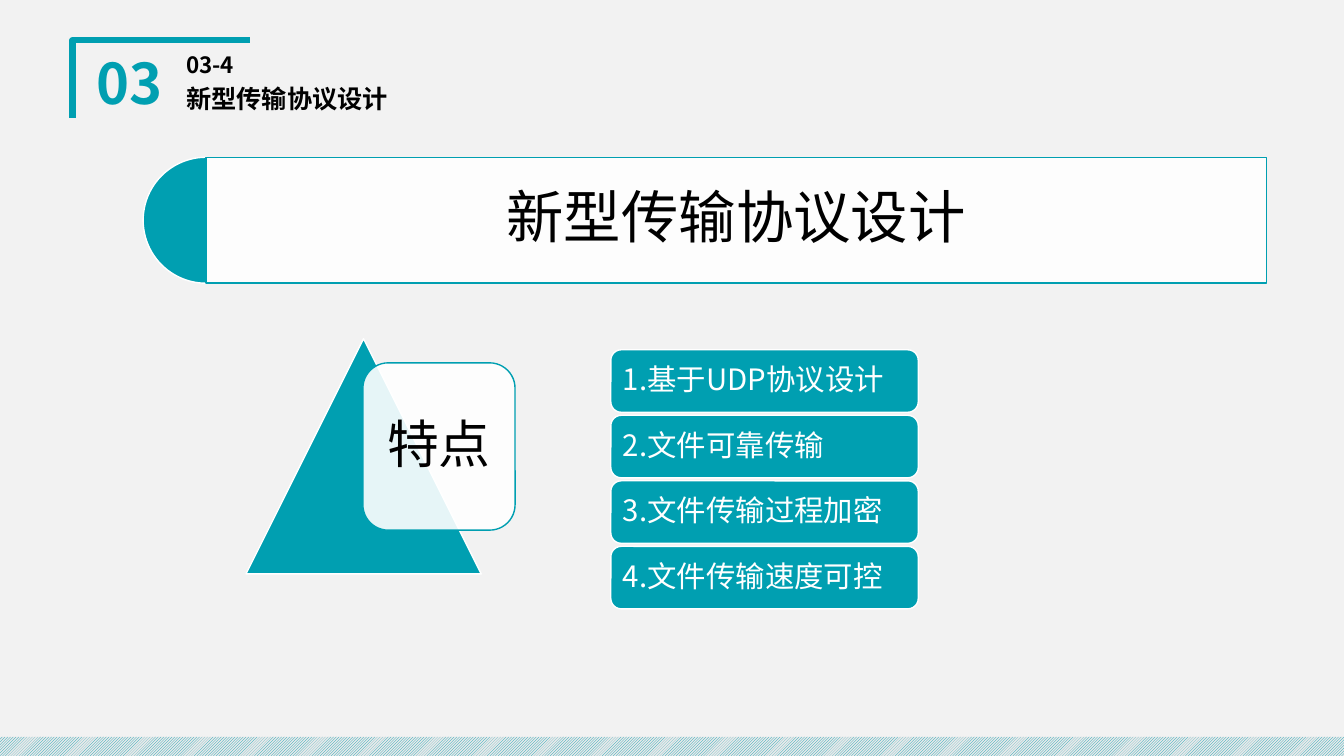
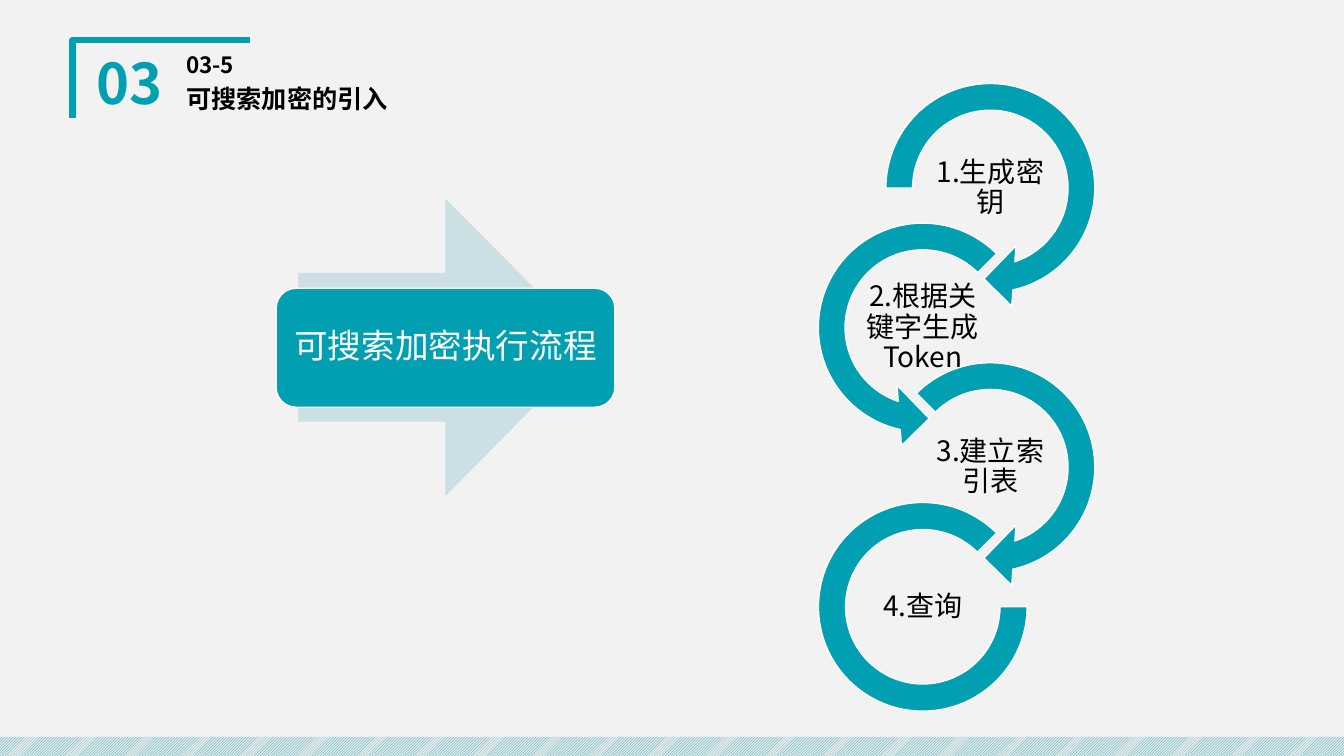
from dataclasses import dataclass

from lxml.etree import SubElement
from pptx import Presentation
from pptx.dml.color import RGBColor as Color
from pptx.enum.dml import MSO_PATTERN as Pattern
from pptx.enum.shapes import MSO_SHAPE as Kind
from pptx.enum.text import MSO_ANCHOR as Anchor, PP_ALIGN as Align
from pptx.oxml.ns import qn
from pptx.util import Inches, Pt

COLUMNS, ROWS = 160, 90
CELL = Inches(7.5) / ROWS
DEGREE = 0.6


@dataclass(frozen=True)
class Theme:
    font: str = "Noto Sans CJK SC"
    page: str = "F2F2F2"
    accent: str = "009FB1"
    pale: str = "CCDFE4"
    stripe: str = "E9E9E9"
    white: str = "FFFFFF"
    ink: str = "000000"
    number: int = 40
    code: int = 16
    heading: int = 18
    banner: int = 41
    badge: int = 37
    flow: int = 24
    item: int = 21
    step: int = 20


THEME = Theme()


def cells(count):
    return round(count * CELL)


def rgb(value):
    return Color.from_string(value)


def write(shape, text, *, size, color=THEME.ink, bold=False, align=Align.CENTER,
          insets=(1.2, 0.6, 1.2, 0.6), before=0):
    frame = shape.text_frame
    frame.word_wrap = True
    frame.vertical_anchor = Anchor.MIDDLE
    (frame.margin_left, frame.margin_top,
     frame.margin_right, frame.margin_bottom) = map(cells, insets)
    para = frame.paragraphs[0]
    para.alignment = align
    para.line_spacing = 0.9
    para.space_before = Pt(before)
    span = para.add_run()
    span.text = text
    span.font.size = Pt(size)
    span.font.bold = bold
    span.font.name = THEME.font
    span.font.color.rgb = rgb(color)
    SubElement(span.font._element, qn("a:ea"), typeface=THEME.font)


def add_label(page, text, area, **style):
    box = page.shapes.add_textbox(*map(cells, area))
    write(box, text, **style)


def add_figure(page, kind, area, *, fill=THEME.accent, line=THEME.white,
               opacity=None, adjust=()):
    shape = page.shapes.add_shape(kind, *map(cells, area))
    shape.shadow.inherit = False
    for index, value in enumerate(adjust):
        shape.adjustments[index] = value
    shape.fill.solid()
    shape.fill.fore_color.rgb = rgb(fill)
    if opacity:
        tint = shape.element.spPr.find(qn("a:solidFill")).find(qn("a:srgbClr"))
        SubElement(tint, qn("a:alpha"), val=str(opacity * 1000))
    if line:
        shape.line.color.rgb = rgb(line)
        shape.line.width = Pt(1)
    else:
        shape.line.fill.background()
    return shape


def add_corner(page):
    left, top, right, bottom = map(cells, (8.64, 4.8, 29.76, 14.04))
    outline = page.shapes.build_freeform(left, bottom)
    outline.add_line_segments([(left, top), (right, top)], close=False)
    corner = outline.convert_to_shape()
    corner.shadow.inherit = False
    corner.fill.background()
    corner.line.color.rgb = rgb(THEME.accent)
    corner.line.width = Pt(4.5)


def add_footer(page):
    band = add_figure(page, Kind.RECTANGLE, (0, 87.72, COLUMNS, 2.28), line=None)
    band.fill.patterned()
    band.fill.pattern = Pattern.LIGHT_UPWARD_DIAGONAL
    band.fill.fore_color.rgb = rgb(THEME.accent)
    band.fill.back_color.rgb = rgb(THEME.stripe)


def add_page(deck, number, code, heading):
    page = deck.slides.add_slide(deck.slide_layouts[6])
    add_corner(page)
    add_footer(page)
    add_label(page, number, (9.84, 5.88, 11.16, 8.76), size=THEME.number,
              color=THEME.accent, bold=True, before=10)
    for text, top, height, size in ((code, 5.88, 4.08, THEME.code),
                                    (heading, 9.36, 5.28, THEME.heading)):
        add_label(page, text, (21, top, 32, height), size=size, bold=True,
                  align=Align.LEFT, before=10)
    return page


def add_banner(page, text):
    left, top, width, height = 17.04, 18.72, 133.74, 15
    add_figure(page, Kind.PIE, (left, top, height, height),
               adjust=(90 * DEGREE, 270 * DEGREE))
    panel = add_figure(page, Kind.RECTANGLE,
                       (left + height / 2, top, width - height / 2, height),
                       fill=THEME.white, line=THEME.accent, opacity=90)
    write(panel, text, size=THEME.banner, insets=(2.04,) * 4)


def add_feature_list(page, items):
    for index, text in enumerate(items):
        bar = add_figure(page, Kind.ROUNDED_RECTANGLE,
                         (72.72, 41.64 + 7.8 * index, 36.6, 7.44))
        write(bar, text, size=THEME.item, color=THEME.white, align=Align.LEFT,
              insets=(1.08, 0.48, 0.48, 0.48))


def add_badge(page, text):
    add_figure(page, Kind.ISOSCELES_TRIANGLE, (29.28, 40.32, 28, 28))
    card = add_figure(page, Kind.ROUNDED_RECTANGLE, (43.2, 43.2, 18.12, 19.92),
                      fill=THEME.white, line=THEME.accent, opacity=90)
    write(card, text, size=THEME.badge, insets=(1.8,) * 4)


def add_step_chain(page, steps):
    size, pitch, swing, trim = 28.92, 16.62, 8.04, 2.04
    last = len(steps) - 1
    for index, text in enumerate(steps):
        leftward = index % 2
        left = 103.44 - swing * leftward
        top = 7.92 + pitch * index
        if index == last:
            area = (left + trim, top + trim, size - 2 * trim, size - 2 * trim)
            add_figure(page, Kind.BLOCK_ARC, area, adjust=(0, 315 * DEGREE, 0.13))
        else:
            kind = Kind.LEFT_CIRCULAR_ARROW if leftward else Kind.CIRCULAR_ARROW
            tip = 105 if leftward else 75
            tail = 315 if leftward else 225 if index else 180
            add_figure(page, kind, (left, top, size, size),
                       adjust=(0.11, 19.04 * DEGREE, tip * DEGREE,
                               tail * DEGREE, 0.125))
        add_label(page, text, (left + 6.36, top + 10.5, 16.2, 8.04),
                  size=THEME.step, insets=(0.12,) * 4)


def add_flow_title(page, text):
    add_figure(page, Kind.RIGHT_ARROW, (35.52, 23.64, 35.04, 35.4),
               fill=THEME.pale, line=None)
    plate = add_figure(page, Kind.ROUNDED_RECTANGLE, (32.88, 34.32, 40.32, 14.16))
    write(plate, text, size=THEME.flow, color=THEME.white, insets=(1.2,) * 4)


def main():
    deck = Presentation()
    deck.slide_width, deck.slide_height = cells(COLUMNS), cells(ROWS)
    backdrop = deck.slide_master.background.fill
    backdrop.solid()
    backdrop.fore_color.rgb = rgb(THEME.page)

    protocol = add_page(deck, "03", "03-4", "新型传输协议设计")
    add_banner(protocol, "新型传输协议设计")
    add_feature_list(protocol, ("1.基于UDP协议设计", "2.文件可靠传输",
                                "3.文件传输过程加密", "4.文件传输速度可控"))
    add_badge(protocol, "特点")

    search = add_page(deck, "03", "03-5", "可搜索加密的引入")
    add_step_chain(search, ("1.生成密钥", "2.根据关键字生成Token",
                            "3.建立索引表", "4.查询"))
    add_flow_title(search, "可搜索加密执行流程")

    deck.save("out.pptx")


if __name__ == "__main__":
    main()
